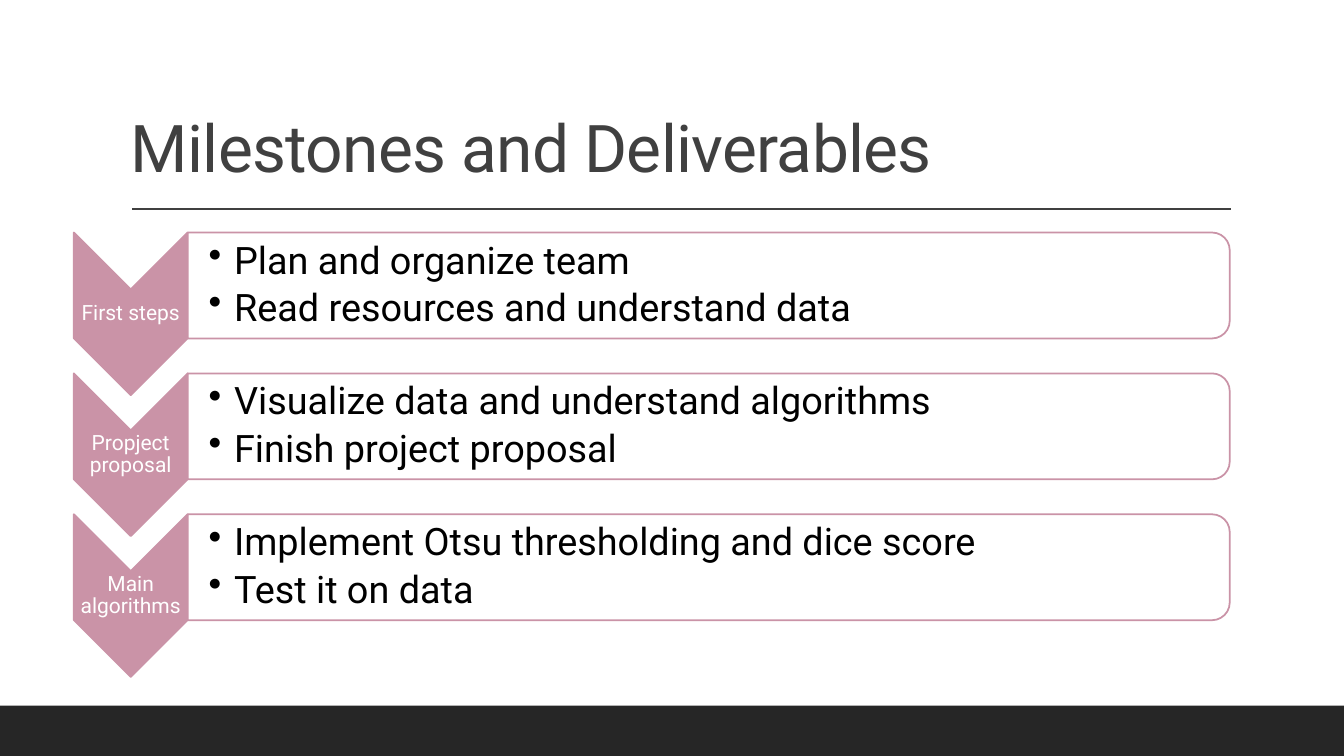
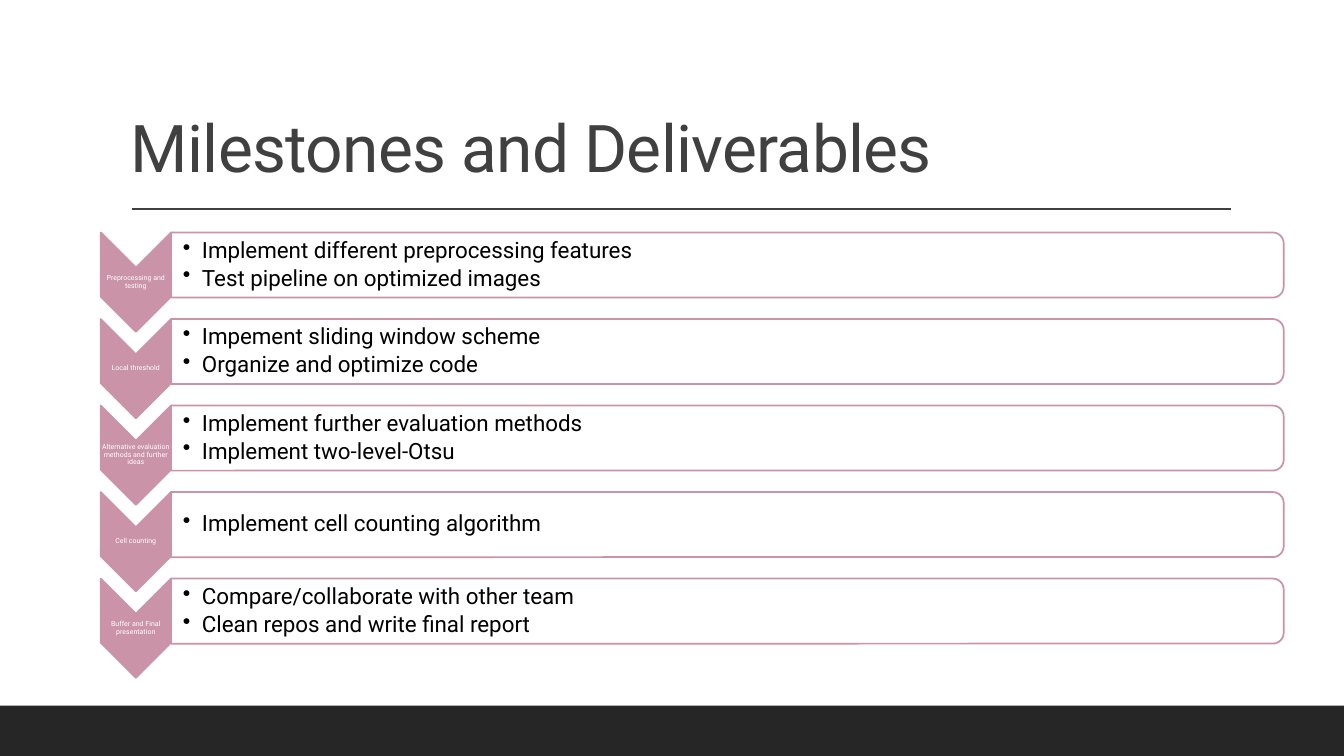
"""Build two milestone slides with chevron lists."""
from dataclasses import dataclass

import pptx
import pptx.dml.color
import pptx.enum.shapes
import pptx.enum.text
import pptx.oxml.ns
import pptx.shapes.autoshape
import pptx.slide
import pptx.text.text
import pptx.util
from lxml import etree

Cm = pptx.util.Cm
Pt = pptx.util.Pt
Kind = pptx.enum.shapes.MSO_SHAPE
Align = pptx.enum.text.PP_ALIGN
Anchor = pptx.enum.text.MSO_ANCHOR


@dataclass(frozen=True)
class Theme:
    font: str = "Roboto"
    ink: str = "000000"
    paper: str = "FFFFFF"
    grey: str = "404040"
    dark: str = "262626"
    rose: str = "CA93A7"
    title: float = 47
    edge: float = 1.25
    rule: float = 1
    wide: float = 33.87
    high: float = 19.05


@dataclass(frozen=True)
class Step:
    label: str
    points: tuple[str, ...]


@dataclass(frozen=True)
class Flow:
    left: float
    step: float
    tip_w: float
    tip_h: float
    box_w: float
    box_h: float
    label: float
    body: float
    pad: float
    inset: float
    dent: float
    steps: tuple[Step, ...]
    top: float = 5.86


THEME = Theme()
TITLE = "Milestones and Deliverables"

FLOWS = (
    Flow(left=1.86, step=3.55, tip_w=2.87, tip_h=4.1, box_w=26.26, box_h=2.67,
         label=15, body=27, pad=0.03, inset=0.53, dent=0.64, steps=(
             Step("First steps", ("Plan and organize team", "Read resources and understand data")),
             Step("Propject proposal", ("Visualize data and understand algorithms", "Finish project proposal")),
             Step("Main algorithms", ("Implement Otsu thresholding and dice score", "Test it on data")),
         )),
    Flow(left=2.54, step=2.18, tip_w=1.77, tip_h=2.5, box_w=28.04, box_h=1.64,
         label=5, body=16, pad=0, inset=0.3, dent=0.48, steps=(
             Step("Preprocessing and testing", ("Implement different preprocessing features",
                                                "Test pipeline on optimized images")),
             Step("Local threshold", ("Impement sliding window scheme", "Organize and optimize code")),
             Step("Alternative evaluation methods and further ideas",
                  ("Implement further evaluation methods", "Implement two-level-Otsu")),
             Step("Cell counting", ("Implement cell counting algorithm",)),
             Step("Buffer and Final presentation", ("Compare/collaborate with other team",
                                                    "Clean repos and write final report")),
         )),
)


def tint(code: str) -> pptx.dml.color.RGBColor:
    """Turn a hex code into a colour."""
    return pptx.dml.color.RGBColor.from_string(code)


def write(frame: pptx.text.text.TextFrame, lines: tuple[str, ...], *, size: float, ink: str,
          align: Align = Align.LEFT, anchor: Anchor = Anchor.MIDDLE,
          pads: tuple[float, float, float, float] = (0, 0, 0, 0),
          after: float = 0, dent: float = 0, track: int = 0) -> None:
    """Fill a text frame, one paragraph a line, bulleted if dent is set."""
    frame.word_wrap = True
    frame.auto_size = pptx.enum.text.MSO_AUTO_SIZE.NONE
    frame.vertical_anchor = anchor
    frame.margin_left, frame.margin_top, frame.margin_right, frame.margin_bottom = map(Cm, pads)
    for i, line in enumerate(lines):
        para = frame.add_paragraph() if i else frame.paragraphs[0]
        para.alignment, para.line_spacing = align, 0.9
        para.space_before, para.space_after = Pt(0), Pt(after)
        run = para.add_run()
        run.text = line
        run.font.name, run.font.size = THEME.font, Pt(size)
        run.font.color.rgb = tint(ink)
        if track:
            run._r.get_or_add_rPr().set("spc", str(track))
        if dent:
            props = para._p.get_or_add_pPr()
            props.set("marL", str(Cm(dent)))
            props.set("indent", str(-Cm(dent)))
            etree.SubElement(props, pptx.oxml.ns.qn("a:buChar")).set("char", "•")


def shape(slide: pptx.slide.Slide, kind: Kind, x: float, y: float, w: float, h: float, *,
          fill: str, line: str | None = None, turn: bool = False) -> pptx.shapes.autoshape.Shape:
    """Draw a shape that shows in the given box, turned a quarter if asked."""
    if turn:
        x, y, w, h = x + (w - h) / 2, y + (h - w) / 2, h, w
    item = slide.shapes.add_shape(kind, Cm(x), Cm(y), Cm(w), Cm(h))
    item.rotation = 90 if turn else 0
    item.shadow.inherit = False
    item.fill.solid()
    item.fill.fore_color.rgb = tint(fill)
    if line:
        item.line.color.rgb = tint(line)
        item.line.width = Pt(THEME.edge)
    else:
        item.line.fill.background()
    return item


def label(slide: pptx.slide.Slide, x: float, y: float, w: float, h: float,
          lines: tuple[str, ...], **form) -> None:
    """Add a text box with formatted lines."""
    write(slide.shapes.add_textbox(Cm(x), Cm(y), Cm(w), Cm(h)).text_frame, lines, **form)


def dress(slide: pptx.slide.Slide) -> None:
    """Put the bottom band and title rule on the layout of a slide."""
    band = shape(slide, Kind.RECTANGLE, 0, 17.78, THEME.wide, THEME.high - 17.78, fill=THEME.dark)
    rule = slide.shapes.add_connector(pptx.enum.shapes.MSO_CONNECTOR.STRAIGHT,
                                      Cm(3.33), Cm(5.27), Cm(31.01), Cm(5.27))
    rule.line.color.rgb = tint(THEME.grey)
    rule.line.width = Pt(THEME.rule)
    etree.SubElement(rule.element.spPr, pptx.oxml.ns.qn("a:effectLst"))
    for item in (band, rule):
        slide.slide_layout.shapes.element.append(item.element)


def head(slide: pptx.slide.Slide) -> None:
    """Place and format the title."""
    title = slide.shapes.title
    title.left, title.top, title.width, title.height = map(Cm, (3.05, 0.79, 27.94, 4.04))
    write(title.text_frame, (TITLE,), size=THEME.title, ink=THEME.grey,
          anchor=Anchor.BOTTOM, pads=(0.25, 0.13, 0.25, 0.13), track=-50)


def chain(slide: pptx.slide.Slide, flow: Flow) -> None:
    """Draw the chevrons with their boxes from top to bottom."""
    right = flow.left + flow.tip_w
    edge = flow.inset / 10
    for i, step in enumerate(flow.steps):
        y = flow.top + i * flow.step
        shape(slide, Kind.CHEVRON, flow.left, y, flow.tip_w, flow.tip_h,
              fill=THEME.rose, line=THEME.rose, turn=True)
        label(slide, flow.left, y + flow.tip_w / 2, flow.tip_w, flow.tip_h - flow.tip_w,
              (step.label,), size=flow.label, ink=THEME.paper, align=Align.CENTER,
              pads=(flow.pad,) * 4)
        shape(slide, Kind.ROUND_2_SAME_RECTANGLE, right, y, flow.box_w, flow.box_h,
              fill=THEME.paper, line=THEME.rose, turn=True)
        label(slide, right, y, flow.box_w, flow.box_h, step.points, size=flow.body,
              ink=THEME.ink, pads=(flow.inset, edge, edge, edge),
              after=round(flow.body * 0.17, 1), dent=flow.dent)


def main() -> None:
    """Build and save the deck."""
    deck = pptx.Presentation()
    deck.slide_width, deck.slide_height = Cm(THEME.wide), Cm(THEME.high)
    for i, flow in enumerate(FLOWS):
        slide = deck.slides.add_slide(deck.slide_layouts[5])
        if i == 0:
            dress(slide)
        head(slide)
        chain(slide, flow)
    deck.save("out.pptx")


if __name__ == "__main__":
    main()
